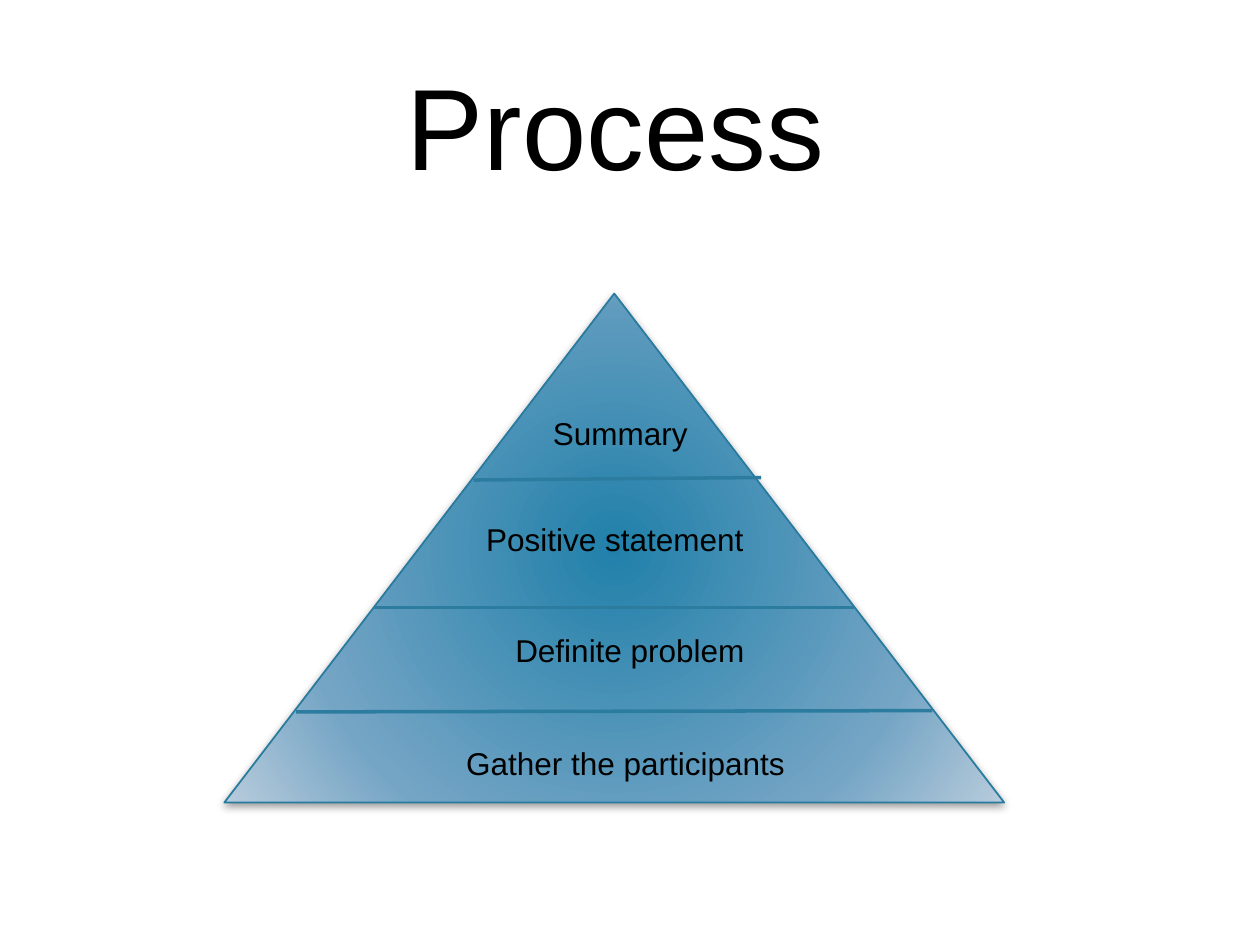
from dataclasses import dataclass

from lxml import etree
from pptx import Presentation
from pptx.dml.color import RGBColor
from pptx.enum.shapes import MSO_CONNECTOR, MSO_SHAPE
from pptx.enum.text import MSO_AUTO_SIZE, PP_ALIGN
from pptx.oxml import parse_xml
from pptx.oxml.ns import nsdecls, qn
from pptx.util import Inches, Pt

TRIANGLE = MSO_SHAPE.ISOSCELES_TRIANGLE
STRAIGHT = MSO_CONNECTOR.STRAIGHT
LEFT, CENTER = PP_ALIGN.LEFT, PP_ALIGN.CENTER
FIT_SHAPE = MSO_AUTO_SIZE.SHAPE_TO_FIT_TEXT


@dataclass(frozen=True)
class Theme:
    font: str = "Arial"
    text: str = "000000"
    edge: str = "287A9E"
    divider: str = "2C7C9F"
    shadow: str = "000000"
    gradient: tuple = ((0, "2180AA"), (69, "75A5C5"), (100, "B8CCDC"))
    title_size: int = 66
    label_size: int = 18


THEME = Theme()


def add_text(s, text, box, size=THEME.label_size, color=THEME.text, align=CENTER):
    tb = s.shapes.add_textbox(*map(Inches, box))
    tf = tb.text_frame
    tf.word_wrap = True
    tf.auto_size = FIT_SHAPE
    p = tf.paragraphs[0]
    p.alignment = align
    r = p.add_run()
    r.text = text
    r.font.name = THEME.font
    r.font.size = Pt(size)
    r.font.color.rgb = RGBColor.from_string(color)
    return tb


def set_line(sp, color, width):
    sp.line.color.rgb = RGBColor.from_string(color)
    sp.line.width = Pt(width)


def add_divider(s, start, end):
    line = s.shapes.add_connector(STRAIGHT, *map(Inches, (*start, *end)))
    set_line(line, THEME.divider, 2)
    etree.SubElement(line._element.spPr, qn("a:effectLst"))


def set_radial_fill(sp, stops):
    gs = "".join(
        f'<a:gs pos="{pos * 1000}"><a:srgbClr val="{color}"/></a:gs>'
        for pos, color in stops
    )
    fill = parse_xml(
        f'<a:gradFill {nsdecls("a")} rotWithShape="1"><a:gsLst>{gs}</a:gsLst>'
        '<a:path path="circle"><a:fillToRect l="100000" t="100000" '
        'r="100000" b="100000"/></a:path></a:gradFill>'
    )
    sp._element.spPr.find(qn("a:prstGeom")).addnext(fill)


def set_shadow(sp, color, alpha, blur, distance, angle):
    sp.shadow.inherit = False
    effects = sp._element.spPr.find(qn("a:effectLst"))
    effects.append(parse_xml(
        f'<a:outerShdw {nsdecls("a")} blurRad="{Pt(blur)}" dist="{Pt(distance)}" '
        f'dir="{angle * 60000}" rotWithShape="0"><a:srgbClr val="{color}">'
        f'<a:alpha val="{alpha * 1000}"/></a:srgbClr></a:outerShdw>'
    ))


def add_pyramid(s, box, dividers, labels):
    x, y, _, _ = box
    sp = s.shapes.add_shape(TRIANGLE, *map(Inches, box))
    set_radial_fill(sp, THEME.gradient)
    set_line(sp, THEME.edge, 1)
    set_shadow(sp, THEME.shadow, alpha=40, blur=5, distance=2, angle=90)
    for x1, y1, x2, y2 in dividers:
        add_divider(s, (x + x1, y + y1), (x + x2, y + y2))
    for text, dx, dy, width, align in labels:
        add_text(s, text, (x + dx, y + dy, width, 0.4), align=align)


def build_process_slide(prs):
    s = prs.slides.add_slide(prs.slide_layouts[6])
    add_text(s, "Process", (2.88, 0.39, 4.01, 1.21), size=THEME.title_size)
    add_pyramid(
        s,
        (1.78, 2.33, 6.19, 4.04),
        dividers=[
            (1.98, 1.48, 4.26, 1.46),
            (1.19, 2.49, 5.0, 2.49),
            (0.57, 3.32, 5.62, 3.31),
        ],
        labels=[
            ("Summary", 2.51, 0.91, 1.43, LEFT),
            ("Positive statement", 1.98, 1.75, 2.46, LEFT),
            ("Definite problem", 1.54, 2.63, 3.36, CENTER),
            ("Gather the participants", 1.1, 3.53, 4.17, CENTER),
        ],
    )


prs = Presentation()
prs.slide_width, prs.slide_height = Inches(10), Inches(7.5)
build_process_slide(prs)
prs.save("out.pptx")
